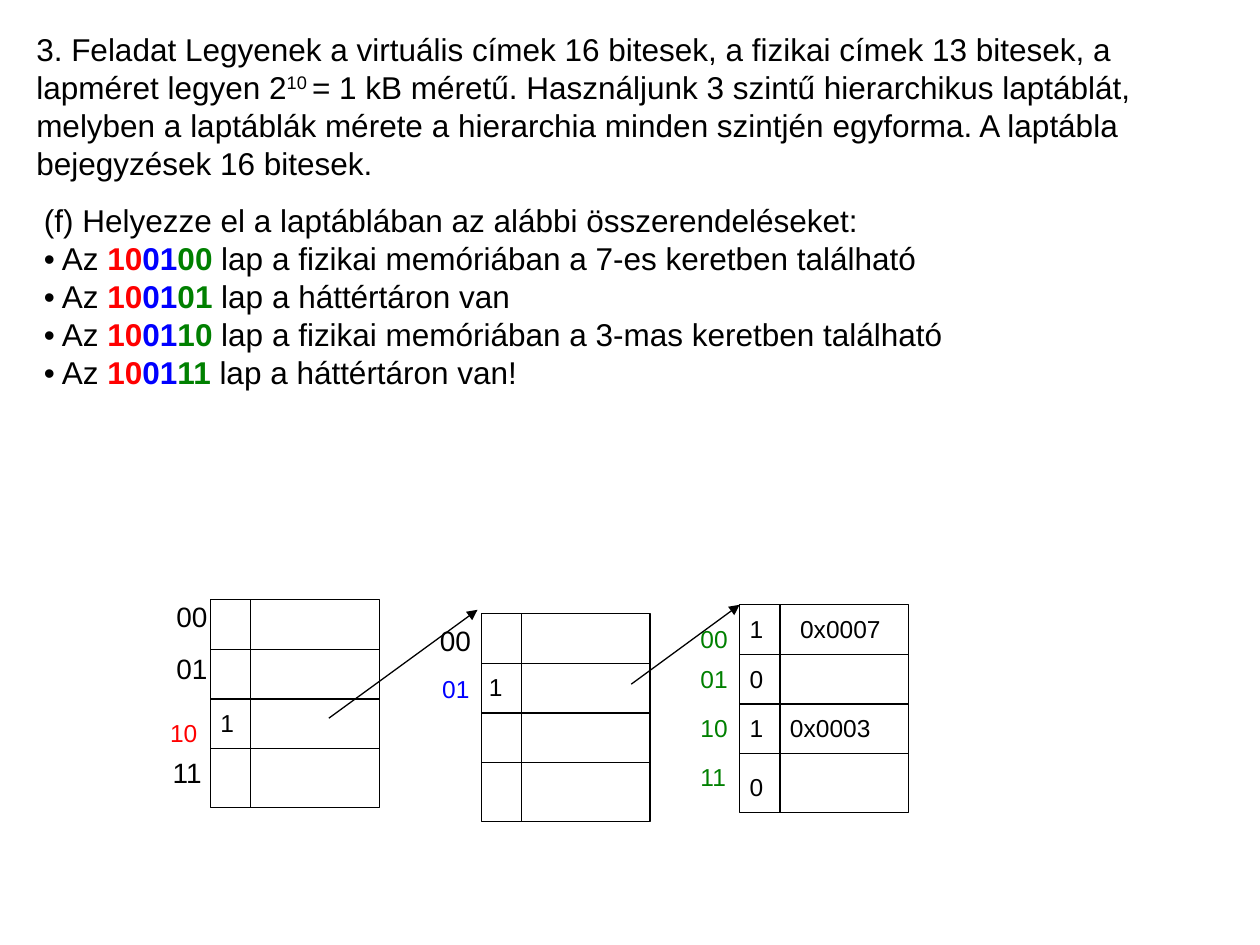
from dataclasses import dataclass

from lxml.etree import SubElement
from pptx import Presentation
from pptx.dml.color import RGBColor
from pptx.enum.shapes import MSO_CONNECTOR, MSO_SHAPE
from pptx.enum.text import MSO_AUTO_SIZE
from pptx.oxml.ns import qn
from pptx.slide import Slide
from pptx.util import Inches, Pt

BLACK = RGBColor(0, 0, 0)
RED = RGBColor(255, 0, 0)
BLUE = RGBColor(0, 0, 255)
GREEN = RGBColor(0, 128, 0)

TABLE_WIDTH, TABLE_HEIGHT = 1.34, 1.65
FLAG_WIDTH = 0.32
ROW_HEIGHT = 0.394
LINE_WIDTH = Pt(0.75)


@dataclass
class Span:
    text: str
    color: RGBColor = BLACK
    bold: bool = False
    superscript: bool = False


@dataclass
class PageTable:
    left: float
    top: float


@dataclass
class Arrow:
    start: tuple[float, float]
    end: tuple[float, float]


@dataclass
class Label:
    text: str
    left: float
    top: float
    width: float = 0.24
    color: RGBColor = BLACK
    size: int = 14


def add_text(page: Slide, left: float, top: float, width: float, height: float,
             paragraphs: list[list[Span]], size: int, inset: bool = True,
             wrap: bool = True) -> None:
    box = page.shapes.add_textbox(Inches(left), Inches(top), Inches(width), Inches(height))
    frame = box.text_frame
    frame.word_wrap = wrap
    frame.auto_size = MSO_AUTO_SIZE.SHAPE_TO_FIT_TEXT
    if not inset:
        frame.margin_left = frame.margin_right = frame.margin_top = frame.margin_bottom = 0
    for index, spans in enumerate(paragraphs):
        para = frame.add_paragraph() if index else frame.paragraphs[0]
        for span in spans:
            run = para.add_run()
            run.text = span.text
            run.font.name = "Arial"
            run.font.size = Pt(size)
            run.font.bold = span.bold
            run.font.color.rgb = span.color
            if span.superscript:
                run._r.get_or_add_rPr().set("baseline", "30000")


def add_label(page: Slide, label: Label) -> None:
    height = 0.23 if label.size == 14 else 0.27
    add_text(page, label.left, label.top, label.width, height,
             [[Span(label.text, label.color)]], label.size,
             inset=False, wrap=label.size == 14)


def add_line(page: Slide, start: tuple[float, float], end: tuple[float, float],
             arrowhead: bool = False) -> None:
    line = page.shapes.add_connector(
        MSO_CONNECTOR.STRAIGHT, *(Inches(value) for value in (*start, *end)))
    line.line.color.rgb = BLACK
    line.line.width = LINE_WIDTH
    properties = line._element.spPr
    if arrowhead:
        SubElement(properties.find(qn("a:ln")), qn("a:tailEnd"), type="triangle")
    SubElement(properties, qn("a:effectLst"))


def add_page_table(page: Slide, table: PageTable) -> None:
    right, bottom = table.left + TABLE_WIDTH, table.top + TABLE_HEIGHT
    outline = page.shapes.add_shape(
        MSO_SHAPE.RECTANGLE, Inches(table.left), Inches(table.top),
        Inches(TABLE_WIDTH), Inches(TABLE_HEIGHT))
    outline.fill.background()
    outline.line.color.rgb = BLACK
    outline.line.width = LINE_WIDTH
    outline.shadow.inherit = False
    for row in range(1, 4):
        y = table.top + row * ROW_HEIGHT
        add_line(page, (table.left, y), (right, y))
    divider = table.left + FLAG_WIDTH
    add_line(page, (divider, table.top), (divider, bottom))


def mapping(last_bits: str, place: str) -> list[Span]:
    return [Span("• Az "), Span("10", RED, True), Span("01", BLUE, True),
            Span(last_bits, GREEN, True), Span(f" lap a {place}")]


TASK = [
    Span("3. Feladat Legyenek a virtuális címek 16 bitesek, a fizikai címek 13 bitesek, "
         "a lapméret legyen 2"),
    Span("10 ", superscript=True),
    Span("= 1 kB méretű. Használjunk 3 szintű hierarchikus laptáblát, melyben a laptáblák "
         "mérete a hierarchia minden szintjén egyforma. A laptábla bejegyzések 16 bitesek."),
]
QUESTION = [
    [Span("(f) Helyezze el a laptáblában az alábbi összerendeléseket:")],
    mapping("00", "fizikai memóriában a 7-es keretben található"),
    mapping("01", "háttértáron van"),
    mapping("10", "fizikai memóriában a 3-mas keretben található"),
    mapping("11", "háttértáron van!"),
]
TABLES = [PageTable(1.67, 4.76), PageTable(3.82, 4.87), PageTable(5.87, 4.8)]
ARROWS = [Arrow((2.61, 5.7), (3.79, 4.84)), Arrow((5.01, 5.43), (5.87, 4.8))]
LABELS = [
    # First level
    Label("00", 1.4, 4.76, 0.25, size=16),
    Label("01", 1.4, 5.17, 0.25, size=16),
    Label("10", 1.35, 5.7, color=RED),
    Label("11", 1.37, 6, 0.25, size=16),
    Label("1", 1.75, 5.62, 0.16),
    # Second level
    Label("00", 3.49, 4.95, 0.25, size=16),
    Label("01", 3.51, 5.35, color=BLUE),
    Label("1", 3.88, 5.33, 0.16),
    # Third level
    Label("00", 5.56, 4.95, color=GREEN),
    Label("01", 5.56, 5.27, color=GREEN),
    Label("10", 5.56, 5.66, color=GREEN),
    Label("11", 5.56, 6.05, color=GREEN),
    Label("1", 5.95, 4.87, 0.16),
    Label("0", 5.95, 5.27, 0.16),
    Label("1", 5.95, 5.66, 0.16),
    Label("0", 5.95, 6.13, 0.16),
    Label("0x0007", 6.35, 4.87, 0.71),
    Label("0x0003", 6.27, 5.66, 0.87),
]


def main() -> None:
    deck = Presentation()
    deck.slide_width, deck.slide_height = Inches(10), Inches(7.5)
    page = deck.slides.add_slide(deck.slide_layouts[6])

    # Task description and question
    add_text(page, 0.19, 0.19, 9.63, 1.3, [TASK], 18)
    add_text(page, 0.25, 1.55, 9.58, 1.6, QUESTION, 18)

    # Three levels of page tables
    for table in TABLES:
        add_page_table(page, table)
    for arrow in ARROWS:
        add_line(page, arrow.start, arrow.end, arrowhead=True)
    for label in LABELS:
        add_label(page, label)

    deck.save("out.pptx")


if __name__ == "__main__":
    main()
